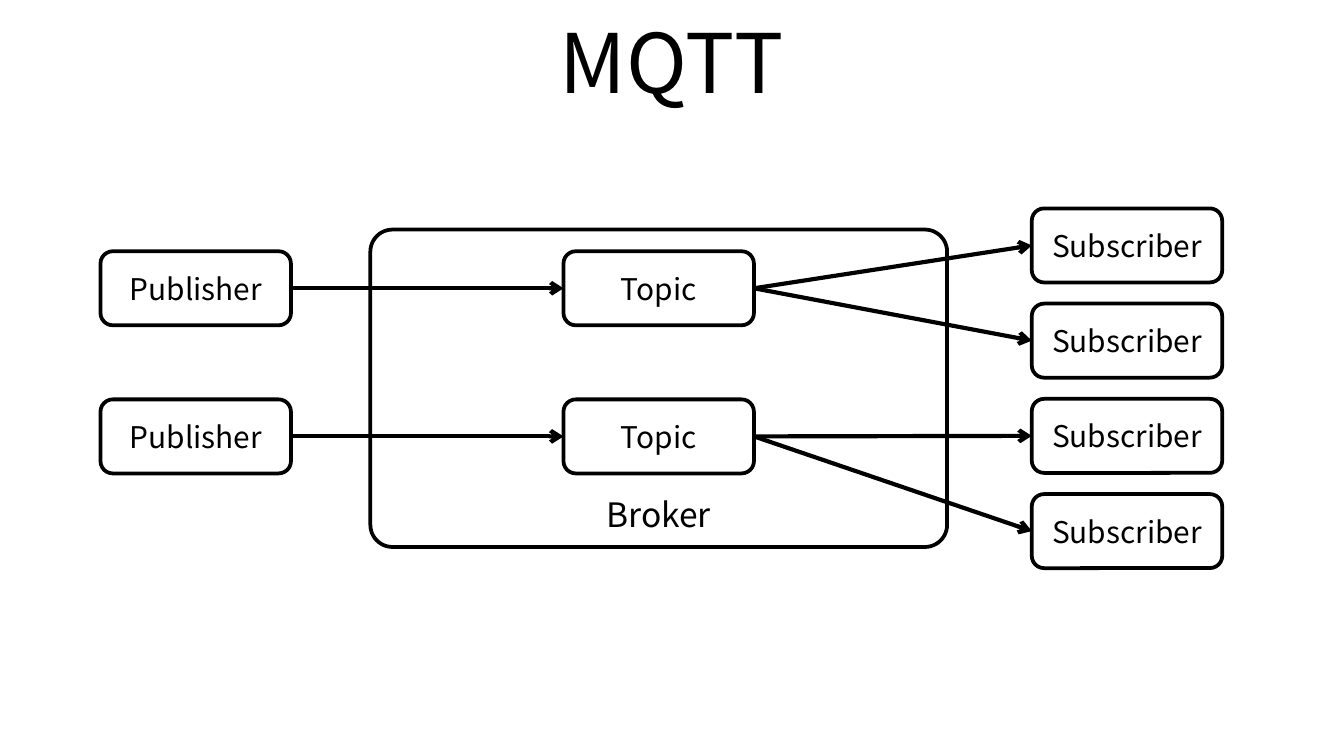
from dataclasses import dataclass

from lxml.etree import SubElement
from pptx import Presentation
from pptx.dml.color import RGBColor
from pptx.enum.shapes import MSO_CONNECTOR as Connector, MSO_SHAPE as Shape
from pptx.enum.text import MSO_ANCHOR as Anchor, MSO_AUTO_SIZE as AutoSize, PP_ALIGN as Align
from pptx.oxml.ns import qn
from pptx.util import Cm, Pt


@dataclass(frozen=True)
class Theme:
    font: str = "Noto Sans CJK KR"
    ink: RGBColor = RGBColor(0, 0, 0)
    paper: RGBColor = RGBColor(255, 255, 255)
    title_size: int = 44
    group_size: int = 18
    node_size: int = 16
    outline: float = 2
    arrow: float = 2.25


def write_text(shape, text, *, theme, size, anchor=Anchor.MIDDLE):
    frame = shape.text_frame
    frame.auto_size = AutoSize.NONE
    frame.word_wrap = True
    frame.vertical_anchor = anchor
    paragraph = frame.paragraphs[0]
    paragraph.alignment = Align.CENTER
    run = paragraph.add_run()
    run.text = text
    run.font.name = theme.font
    run.font.size = Pt(size)
    run.font.color.rgb = theme.ink


class Diagram:
    node_width = 3.6
    node_height = 1.4
    RIGHT_SITE = 3
    LEFT_SITE = 1

    def __init__(self, slide, theme):
        self.slide = slide
        self.theme = theme

    def title(self, text, left, top, width, height):
        shape = self.slide.shapes.title
        shape.left, shape.top = Cm(left), Cm(top)
        shape.width, shape.height = Cm(width), Cm(height)
        write_text(shape, text, theme=self.theme, size=self.theme.title_size)

    def box(self, text, left, top, width, height, size, anchor=Anchor.MIDDLE):
        shape = self.slide.shapes.add_shape(
            Shape.ROUNDED_RECTANGLE, Cm(left), Cm(top), Cm(width), Cm(height))
        shape.shadow.inherit = False
        shape.fill.solid()
        shape.fill.fore_color.rgb = self.theme.paper
        shape.line.color.rgb = self.theme.ink
        shape.line.width = Pt(self.theme.outline)
        write_text(shape, text, theme=self.theme, size=size, anchor=anchor)
        return shape

    def group(self, text, left, top, width, height):
        shape = self.box(text, left, top, width, height,
                         self.theme.group_size, Anchor.BOTTOM)
        shape.adjustments[0] = 0.07

    def node(self, text, left, top):
        return self.box(text, left, top, self.node_width, self.node_height,
                        self.theme.node_size)

    def arrow(self, source, target):
        connector = self.slide.shapes.add_connector(Connector.STRAIGHT, 0, 0, 0, 0)
        connector.begin_connect(source, self.RIGHT_SITE)
        connector.end_connect(target, self.LEFT_SITE)
        connector.line.color.rgb = self.theme.ink
        connector.line.width = Pt(self.theme.arrow)
        SubElement(connector.line._get_or_add_ln(), qn("a:tailEnd"), type="arrow")
        SubElement(connector._element.spPr, qn("a:effectLst"))


def main():
    presentation = Presentation()
    presentation.slide_width, presentation.slide_height = Cm(25.4), Cm(14.29)
    slide = presentation.slides.add_slide(presentation.slide_layouts[5])
    diagram = Diagram(slide, Theme())

    diagram.title("MQTT", 1.27, -0.05, 22.86, 2.39)
    diagram.group("Broker", 7, 4.34, 10.9, 6)

    publisher_left, topic_left, subscriber_left = 1.9, 10.65, 19.5
    topic_top, topic_step = 4.75, 2.8
    subscriber_top, subscriber_step = 3.94, 1.8
    subscribers_per_topic = 2

    for row in range(2):
        top = topic_top + row * topic_step
        publisher = diagram.node("Publisher", publisher_left, top)
        topic = diagram.node("Topic", topic_left, top)
        diagram.arrow(publisher, topic)
        for index in range(subscribers_per_topic):
            position = row * subscribers_per_topic + index
            subscriber = diagram.node("Subscriber", subscriber_left,
                                      subscriber_top + position * subscriber_step)
            diagram.arrow(topic, subscriber)

    presentation.save("out.pptx")


if __name__ == "__main__":
    main()
